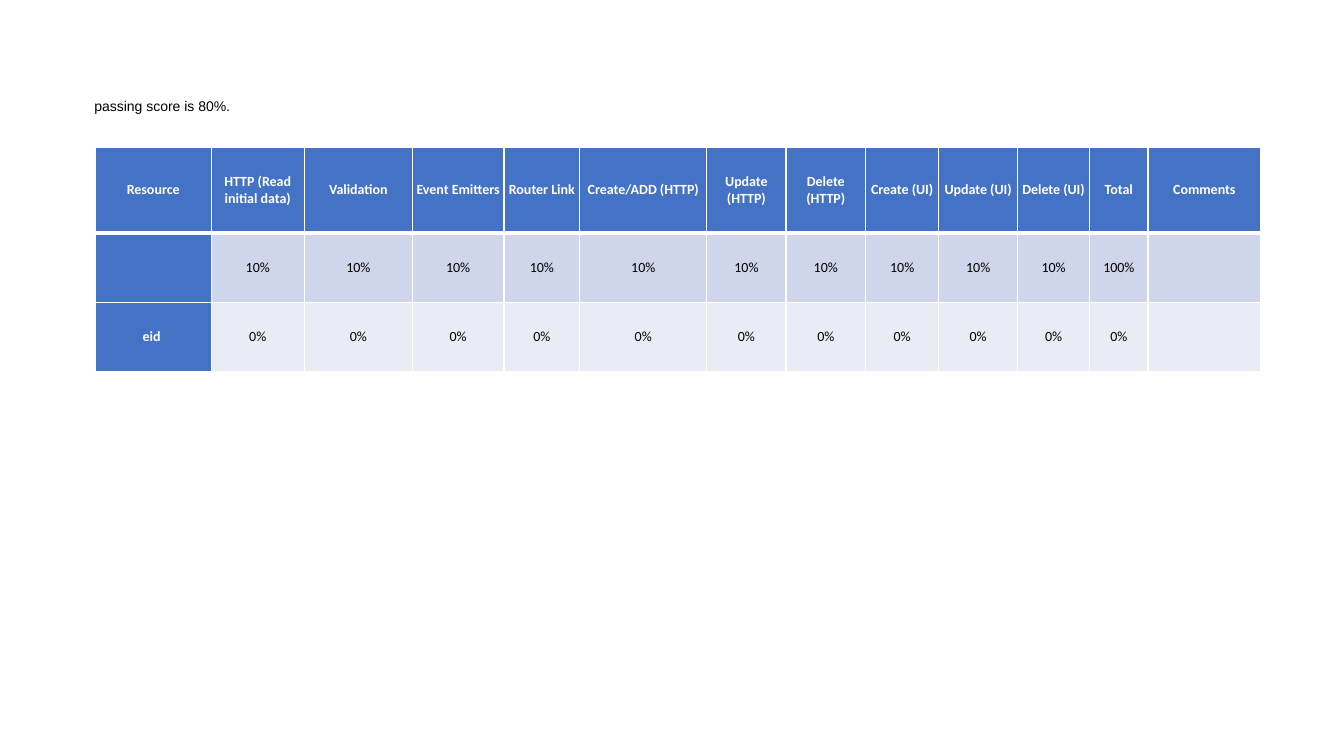
"""Build the scoring slide with its passing score and result table."""
from dataclasses import dataclass

from lxml.etree import SubElement
from pptx import Presentation
from pptx.dml.color import RGBColor
from pptx.enum.text import MSO_ANCHOR, PP_ALIGN
from pptx.oxml.ns import qn
from pptx.slide import Slide
from pptx.table import _Cell
from pptx.text.text import _Paragraph
from pptx.util import Cm, Pt

WHITE, BLACK, BLUE = "FFFFFF", "000000", "4472C4"


@dataclass(frozen=True)
class Column:
    """A score column: heading and width in centimetres."""
    heading: str
    width: float


@dataclass(frozen=True)
class ScoreRow:
    """A table row: texts, height in centimetres, body fill and rule weights."""
    texts: list[str]
    height: float
    fill: str
    top: float = 1
    bottom: float = 1
    header: bool = False


COLUMNS = [
    Column("Resource", 2.92),
    Column("HTTP (Read initial data)", 2.35),
    Column("Validation", 2.72),
    Column("Event Emitters", 2.31),
    Column("Router Link", 1.91),
    Column("Create/ADD (HTTP)", 3.2),
    Column("Update (HTTP)", 2),
    Column("Delete (HTTP)", 2),
    Column("Create (UI)", 1.85),
    Column("Update (UI)", 1.98),
    Column("Delete (UI)", 1.82),
    Column("Total", 1.47),
    Column("Comments", 2.84),
]
CRITERIA = 10
ROWS = [
    ScoreRow([column.heading for column in COLUMNS], 2.15, BLUE, bottom=3, header=True),
    ScoreRow(["", *["10%"] * CRITERIA, "100%", ""], 1.75, "CFD5EA", top=3),
    ScoreRow(["eid\u00a0", *["0%"] * CRITERIA, "0%", ""], 1.75, "E9EBF5"),
]


def color(value: str) -> RGBColor:
    """Turn a hex string into a colour."""
    return RGBColor.from_string(value)


def format_text(para: _Paragraph, font: str, ink: str, bold: bool = False) -> None:
    """Give every run of a paragraph its font, colour and weight."""
    for span in para.runs:
        span.font.name = font
        span.font.size = Pt(10)
        span.font.bold = bold
        span.font.color.rgb = color(ink)


def draw_borders(cell: _Cell, top: float, bottom: float) -> None:
    """Draw white rules on all four sides of a cell."""
    properties = cell._tc.get_or_add_tcPr()
    sides = {"a:lnL": 1, "a:lnR": 1, "a:lnT": top, "a:lnB": bottom}
    for position, (tag, weight) in enumerate(sides.items()):
        line = SubElement(properties, qn(tag), w=str(Pt(weight)))
        fill = SubElement(line, qn("a:solidFill"))
        SubElement(fill, qn("a:srgbClr"), val=WHITE)
        properties.insert(position, line)


def fill_cell(cell: _Cell, text: str, row: ScoreRow, heading: bool) -> None:
    """Write and format one table cell."""
    cell.fill.solid()
    cell.fill.fore_color.rgb = color(BLUE if heading else row.fill)
    cell.vertical_anchor = MSO_ANCHOR.MIDDLE
    cell.margin_left = cell.margin_right = Cm(0.08)
    cell.margin_top = cell.margin_bottom = Cm(0)
    draw_borders(cell, row.top, row.bottom)
    if text:
        para = cell.text_frame.paragraphs[0]
        para.text = text
        para.alignment = PP_ALIGN.CENTER
        para.line_spacing = Pt(11.8)
        format_text(para, "Calibri", WHITE if heading else BLACK, heading)


def add_scores(page: Slide) -> None:
    """Add the score table."""
    width = sum(column.width for column in COLUMNS)
    height = sum(row.height for row in ROWS)
    table = page.shapes.add_table(
        len(ROWS), len(COLUMNS), Cm(2.4), Cm(3.72), Cm(width), Cm(height)
    ).table
    for index, column in enumerate(COLUMNS):
        table.columns[index].width = Cm(column.width)
    for row_index, row in enumerate(ROWS):
        table.rows[row_index].height = Cm(row.height)
        for index, text in enumerate(row.texts):
            heading = row.header or index == 0
            fill_cell(table.cell(row_index, index), text, row, heading)


def add_passing_score(page: Slide) -> None:
    """Add the passing score above the table."""
    box = page.shapes.add_textbox(Cm(2.13), Cm(2.46), Cm(5.66), Cm(0.6))
    frame = box.text_frame
    frame.word_wrap = True
    frame.margin_top = frame.margin_bottom = Cm(0)
    frame.text = "passing score is 80%."
    format_text(frame.paragraphs[0], "Arial", BLACK)


def main() -> None:
    """Create and save the deck."""
    deck = Presentation()
    deck.slide_width, deck.slide_height = Cm(33.87), Cm(19.05)
    page = deck.slides.add_slide(deck.slide_layouts[6])
    add_scores(page)
    add_passing_score(page)
    deck.save("out.pptx")


main()
